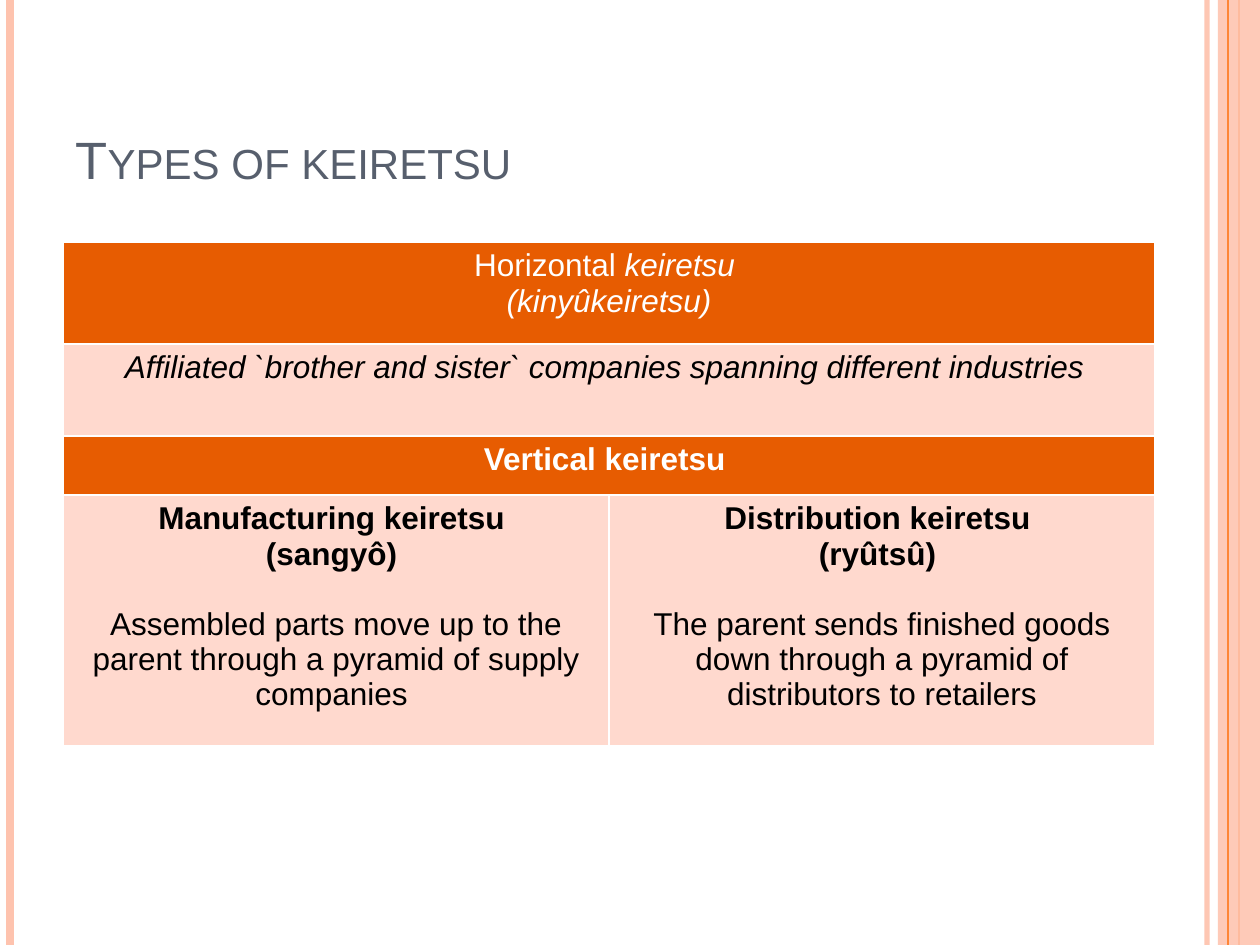
import dataclasses

import pptx
import pptx.dml.color
import pptx.enum.shapes
import pptx.enum.text
import pptx.oxml
import pptx.oxml.ns
import pptx.util

EMU_PER_PIXEL = 914400 / 126
PAGE_WIDTH, PAGE_HEIGHT = 1260, 945


@dataclasses.dataclass(frozen=True)
class Theme:
    """Colours, font and type sizes of the slide."""
    font: str = "Arial"
    title_size: int = 30
    body_size: int = 18
    title: str = "575F6D"
    white: str = "FFFFFF"
    black: str = "000000"
    header: str = "E75C01"
    body: str = "FFD9CE"
    stripe: str = "FEC3AE"
    accent: str = "FE8637"


THEME = Theme()


def px(pixels):
    """Turn pixels into EMU."""
    return pptx.util.Emu(round(pixels * EMU_PER_PIXEL))


def rgb(value):
    """Make a colour from its hex code."""
    return pptx.dml.color.RGBColor.from_string(value)


def set_opacity(shape, percent):
    """Make the first colour of a shape partly transparent."""
    color = shape._element.spPr.find(".//" + pptx.oxml.ns.qn("a:srgbClr"))
    alpha = color.makeelement(pptx.oxml.ns.qn("a:alpha"), {"val": str(percent * 1000)})
    color.append(alpha)


def add_stripe(page, x, color, width, opacity=100):
    """Draw a vertical line over the full height of the page."""
    line = page.shapes.add_connector(
        pptx.enum.shapes.MSO_CONNECTOR.STRAIGHT, px(x), 0, px(x), px(PAGE_HEIGHT))
    line.line.color.rgb = rgb(color)
    line.line.width = pptx.util.Pt(width)
    properties = line._element.spPr
    properties.append(properties.makeelement(pptx.oxml.ns.qn("a:effectLst"), {}))
    if opacity < 100:
        set_opacity(line, opacity)


def add_band(page, x, color, opacity):
    """Fill the page from x to its right edge."""
    band = page.shapes.add_shape(
        pptx.enum.shapes.MSO_SHAPE.RECTANGLE, px(x), 0, px(PAGE_WIDTH - x), px(PAGE_HEIGHT))
    band.shadow.inherit = False
    band.fill.solid()
    band.fill.fore_color.rgb = rgb(color)
    band.line.fill.background()
    set_opacity(band, opacity)


def style_font(font, size, color, bold=None, italic=None):
    """Set the look of a paragraph's font."""
    font.name = THEME.font
    font.size = pptx.util.Pt(size)
    font.color.rgb = rgb(color)
    font.bold = bold
    font.italic = italic


def set_title(page, text):
    """Place the title placeholder and write it in small capitals."""
    title = page.shapes.title
    title.left, title.top, title.width, title.height = px(63), px(38), px(1029), px(158)
    frame = title.text_frame
    frame.word_wrap = True
    frame.vertical_anchor = pptx.enum.text.MSO_ANCHOR.BOTTOM
    para = frame.paragraphs[0]
    para.alignment = pptx.enum.text.PP_ALIGN.LEFT
    style_font(para.font, THEME.title_size, THEME.title)
    span = para.add_run()
    span.text = text
    span._r.get_or_add_rPr().set("cap", "small")


def set_borders(cell):
    """Give a cell thin white borders, ahead of its fill."""
    properties = cell._tc.get_or_add_tcPr()
    for index, side in enumerate(("lnL", "lnR", "lnT", "lnB")):
        properties.insert(index, pptx.oxml.parse_xml(
            f'<a:{side} {pptx.oxml.ns.nsdecls("a")} w="12700"><a:solidFill>'
            f'<a:srgbClr val="{THEME.white}"/></a:solidFill></a:{side}>'))


def fill_cell(cell, fill):
    """Set the fill and borders of a cell."""
    cell.fill.solid()
    cell.fill.fore_color.rgb = rgb(fill)
    set_borders(cell)


def write_cell(cell, color, lines):
    """Write centred lines of (text, bold, italic, space before)."""
    frame = cell.text_frame
    for index, (text, bold, italic, gap) in enumerate(lines):
        para = frame.add_paragraph() if index else frame.paragraphs[0]
        para.alignment = pptx.enum.text.PP_ALIGN.CENTER
        para.space_before = pptx.util.Pt(gap)
        style_font(para.font, THEME.body_size, color, bold, italic)
        para.add_run().text = text


def add_types_table(page):
    """Build the table of keiretsu types."""
    heights = (102, 92, 59, 251)
    table = page.shapes.add_table(
        len(heights), 2, px(63), px(242), px(1092), px(sum(heights))).table
    for column in table.columns:
        column.width = px(546)
    for index, height in enumerate(heights):
        table.rows[index].height = px(height)
        fill = THEME.body if index % 2 else THEME.header
        for cell in table.rows[index].cells:
            fill_cell(cell, fill)

    wide_rows = (
        (THEME.white, [("Horizontal ", False, False, 0), ("(kinyûkeiretsu)", False, True, 0)]),
        (THEME.black, [("Affiliated `brother and sister` companies spanning "
                        "different industries ", False, True, 0)]),
        (THEME.white, [("Vertical keiretsu ", True, False, 0)]),
    )
    for index, (color, lines) in enumerate(wide_rows):
        table.cell(index, 0).merge(table.cell(index, 1))
        write_cell(table.cell(index, 0), color, lines)
    keiretsu = table.cell(0, 0).text_frame.paragraphs[0].add_run()
    keiretsu.text = "keiretsu "
    keiretsu.font.italic = True

    vertical_types = (
        ("Manufacturing keiretsu ", "(sangyô) ",
         "Assembled parts move up to the parent through a pyramid of supply companies "),
        ("Distribution keiretsu ", "(ryûtsû) ",
         "The parent sends finished goods down through a pyramid of distributors to retailers"),
    )
    for index, (name, japanese, description) in enumerate(vertical_types):
        write_cell(table.cell(3, index), THEME.black, [
            (name, True, False, 0), (japanese, True, False, 0),
            (description, False, False, 20)])


def main():
    """Build and save the slide."""
    deck = pptx.Presentation()
    deck.slide_width, deck.slide_height = px(PAGE_WIDTH), px(PAGE_HEIGHT)
    page = deck.slides.add_slide(deck.slide_layouts[5])
    add_stripe(page, 1207, THEME.stripe, 3, 93)
    add_stripe(page, 10, THEME.stripe, 4.5)
    add_stripe(page, 1239, THEME.accent, 1.5)
    add_band(page, 1218, THEME.stripe, 87)
    add_stripe(page, 1228, THEME.accent, 0.75)
    set_title(page, "Types of keiretsu")
    add_types_table(page)
    deck.save("out.pptx")


main()
